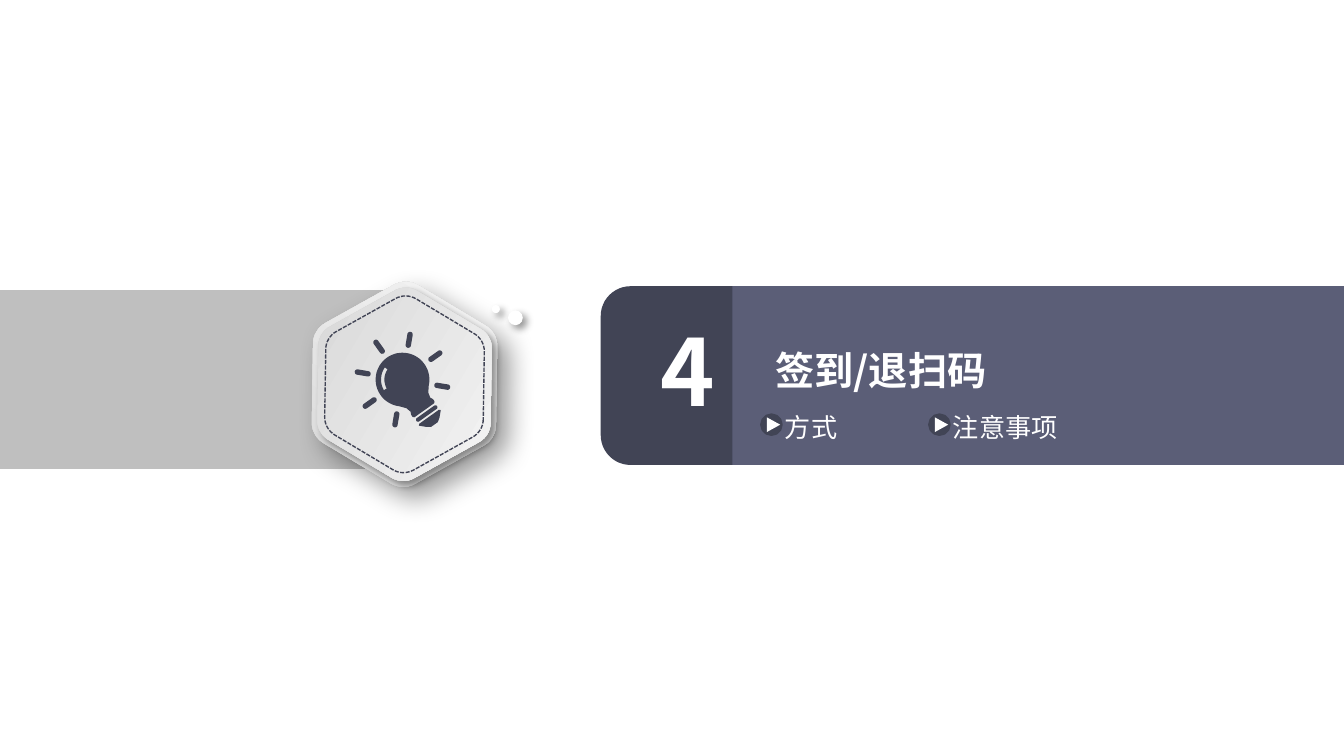
from math import cos, sin, radians, atan2, degrees, sqrt
from dataclasses import dataclass

from lxml import etree
from pptx import Presentation
from pptx.dml.color import RGBColor
from pptx.enum.dml import MSO_LINE
from pptx.enum.shapes import MSO_SHAPE as SHAPE
from pptx.enum.text import MSO_AUTO_SIZE, PP_ALIGN
from pptx.oxml import parse_xml
from pptx.oxml.ns import nsdecls, qn
from pptx.util import Inches, Pt


@dataclass(frozen=True)
class Theme:
    font: str = "Noto Sans CJK SC"
    dark: str = "414455"
    mid: str = "5B5E77"
    grey: str = "BFBFBF"
    white: str = "FFFFFF"
    silver: tuple = ("D3D3D3", "F9F9F9")
    number: float = 49.5
    title: float = 21
    item: float = 14


T = Theme()


def rgb(color):
    return RGBColor.from_string(color)


def paint(sp, fill=None, line=None, width=1):
    sp.shadow.inherit = False
    if fill:
        sp.fill.solid()
        sp.fill.fore_color.rgb = rgb(fill)
    else:
        sp.fill.background()
    if line:
        sp.line.color.rgb = rgb(line)
        sp.line.width = Pt(width)
    else:
        sp.line.fill.background()
    return sp


def shape(s, kind, x, y, w, h, **look):
    sp = s.shapes.add_shape(kind, Inches(x), Inches(y), Inches(w), Inches(h))
    return paint(sp, **look)


def text(s, words, x, y, w, h, size, bold=False, align=PP_ALIGN.LEFT, inset=(0, 0)):
    """Inset is (left and right, top and bottom)."""
    tf = s.shapes.add_textbox(Inches(x), Inches(y), Inches(w), Inches(h)).text_frame
    tf.word_wrap = True
    tf.auto_size = MSO_AUTO_SIZE.SHAPE_TO_FIT_TEXT
    tf.margin_left = tf.margin_right = Inches(inset[0])
    tf.margin_top = tf.margin_bottom = Inches(inset[1])
    p = tf.paragraphs[0]
    p.alignment = align
    r = p.add_run()
    r.text = words
    r.font.size, r.font.bold, r.font.name = Pt(size), bold, T.font
    r.font.color.rgb = rgb(T.white)
    etree.SubElement(r.font._element, qn("a:ea"), typeface=T.font)


def cast_shadow(sp, blur, dist):
    """Replace the empty effect list by a soft shadow to the lower right."""
    spPr = sp._element.spPr
    spPr.remove(spPr.find(qn("a:effectLst")))
    spPr.append(parse_xml(
        f'<a:effectLst {nsdecls("a")}><a:outerShdw blurRad="{Pt(blur)}" dist="{Pt(dist)}" '
        'dir="2700000" algn="tl" rotWithShape="0"><a:srgbClr val="000000">'
        '<a:alpha val="40000"/></a:srgbClr></a:outerShdw></a:effectLst>'))


def outline(s, contours, cx, cy, rotation, **look):
    """One freeform from closed contours, given in inches around (cx, cy)."""
    builder = None
    for contour in contours:
        pts = [(Inches(cx + x), Inches(cy + y)) for x, y in contour]
        if builder is None:
            builder = s.shapes.build_freeform(*pts[0], scale=1.0)
        else:
            builder.move_to(*pts[0])
        builder.add_line_segments(pts[1:], close=True)
    sp = paint(builder.convert_to_shape(), **look)
    sp.rotation = rotation
    return sp


def arc(cx, cy, radius, start, end, steps=8):
    angles = [radians(start + (end - start) * i / steps) for i in range(steps + 1)]
    return [(cx + radius * cos(a), cy + radius * sin(a)) for a in angles]


def capsule(x1, y1, x2, y2, half):
    a = degrees(atan2(y2 - y1, x2 - x1))
    return arc(x2, y2, half, a - 90, a + 90) + arc(x1, y1, half, a + 90, a + 270)


def rounded_hexagon(height):
    radius = 0.13 * height
    reach = height / sqrt(3) - radius / cos(radians(30))
    return [pt for a in range(0, 360, 60)
            for pt in arc(reach * cos(radians(a)), reach * sin(radians(a)),
                          radius, a - 30, a + 30)]


def mirrored(right):
    return right + [(-x, y) for x, y in reversed(right)]


def bulb(s, cx, cy):
    body = mirrored(arc(0, 0, 0.2, -90, 48, 24)
                    + [(0.1, 0.19), (0.09, 0.23), (0.1, 0.25), (0.1, 0.27), (0.09, 0.28)])
    glint = arc(0, 0, 0.16, -174, -110) + arc(0, 0, 0.135, -110, -174)
    band = capsule(-0.08, 0.31, 0.08, 0.31, 0.015)
    base = mirrored([(0.09, 0.34), (0.1, 0.35), (0.08, 0.37), (0.06, 0.39), (0.03, 0.41)])
    rays = [capsule(0.26 * cos(a), 0.26 * sin(a), 0.34 * cos(a), 0.34 * sin(a), 0.02)
            for a in (radians(135 + 45 * i) for i in range(7))]
    contours = [[(x, y - 0.03) for x, y in c] for c in (body, glint, band, base, *rays)]
    outline(s, contours, cx, cy, 324.5, fill=T.dark)


def badge(s, cx, cy):
    tilt = 30.9
    for height, angle, blur, dist in ((1.37, 90, 15, 9), (1.29, 0, 4, 3)):
        sp = outline(s, [rounded_hexagon(height)], cx, cy, tilt)
        sp.fill.gradient()
        sp.fill.gradient_angle = angle
        for stop, color, position in zip(sp.fill.gradient_stops, T.silver, (0, 1)):
            stop.color.rgb = rgb(color)
            stop.position = position
        cast_shadow(sp, blur, dist)
    stitch = outline(s, [rounded_hexagon(1.18)], cx, cy, tilt, line=T.dark, width=0.75)
    stitch.line.dash_style = MSO_LINE.SQUARE_DOT
    for dx, dy, size in ((0.65, -0.59, 0.06), (0.77, -0.55, 0.11)):
        dot = shape(s, SHAPE.OVAL, cx + dx, cy + dy, size, size, fill=T.white)
        cast_shadow(dot, 4, 3)
    bulb(s, cx, cy - 0.01)


def item(s, words, x, y):
    text(s, words, x + 0.17, y, 1, 0.24, T.item)
    shape(s, SHAPE.OVAL, x, y + 0.03, 0.14, 0.14, fill=T.dark, line=T.dark, width=2)
    arrow = shape(s, SHAPE.ISOSCELES_TRIANGLE, x + 0.03, y + 0.05, 0.11, 0.1, fill=T.white)
    arrow.rotation = 90


def section_banner(s, x, y, w, h, number, title, items):
    shape(s, SHAPE.ROUNDED_RECTANGLE, x, y, 5.37, h, fill=T.dark)
    shape(s, SHAPE.RECTANGLE, x + 0.98, y, w - 0.98, h, fill=T.mid)
    text(s, number, x + 0.35, y + 0.16, 0.3, 0.93, T.number, bold=True,
         align=PP_ALIGN.CENTER, inset=(0.1, 0.05))
    text(s, title, x + 1.24, y + 0.42, 2.24, 0.41, T.title, bold=True, inset=(0.06, 0.03))
    for i, words in enumerate(items):
        item(s, words, x + 1.2 + 1.25 * i, y + 0.93)


def main():
    prs = Presentation()
    prs.slide_width = Inches(10)
    prs.slide_height = prs.slide_width * 9 // 16
    s = prs.slides.add_slide(prs.slide_layouts[6])
    shape(s, SHAPE.RECTANGLE, 0, 2.16, 3.05, 1.33, fill=T.grey)
    badge(s, 3.01, 2.86)
    section_banner(s, 4.47, 2.13, 5.53, 1.33, "4", "签到/退扫码", ["方式", "注意事项"])
    prs.save("out.pptx")


if __name__ == "__main__":
    main()
